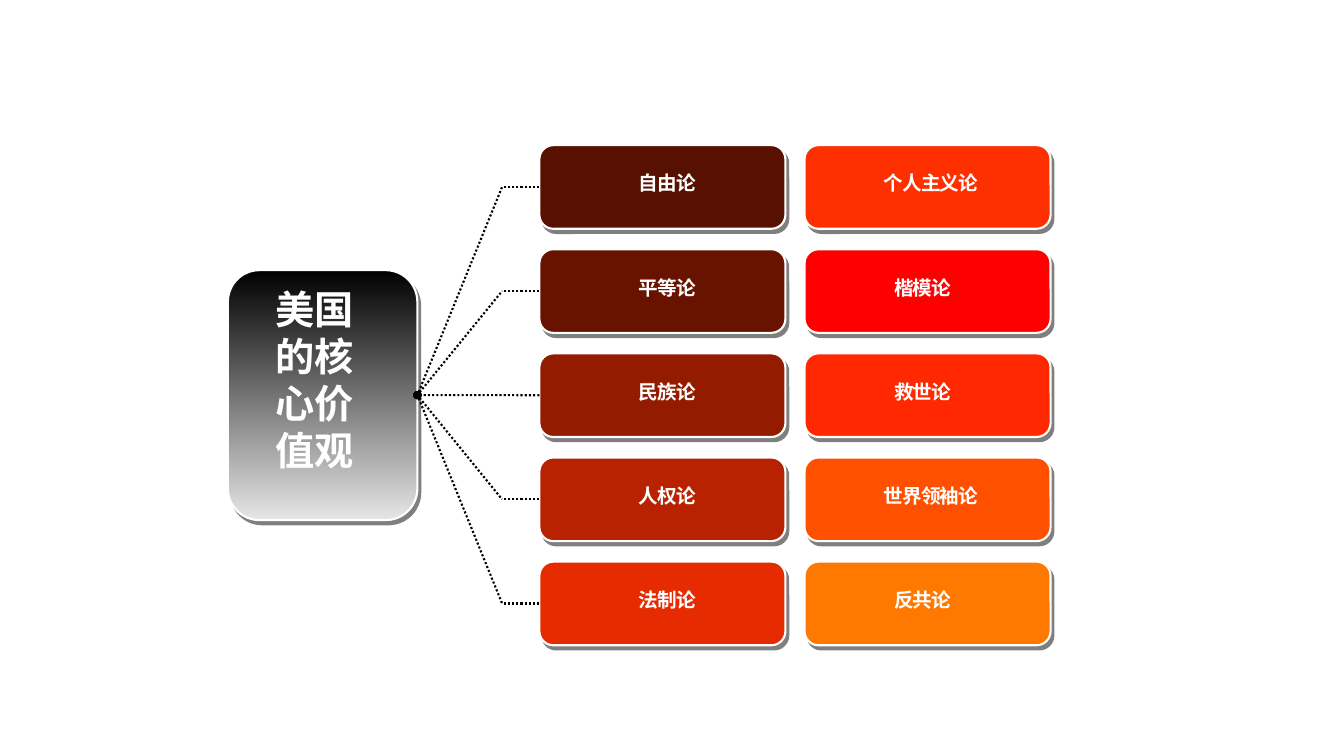
from lxml import etree
from pptx import Presentation
from pptx.dml.color import RGBColor
from pptx.enum import dml, shapes, text
from pptx.oxml import ns
from pptx.util import Inches, Pt

# Content: label, card fill, font
NOTO, MONTSERRAT = "Noto Sans CJK SC", "Montserrat"
CORE = "美国的核心价值观"
LEFT_CARDS = [
    ("自由论", "581000", NOTO),
    ("平等论", "671300", NOTO),
    ("民族论", "931B00", NOTO),
    ("人权论", "B82200", MONTSERRAT),
    ("法制论", "E62B00", MONTSERRAT),
]
RIGHT_CARDS = [
    ("个人主义论", "FF3000", NOTO),
    ("楷模论", "FF0000", MONTSERRAT),
    ("救世论", "FF2800", MONTSERRAT),
    ("世界领袖论", "FF5000", MONTSERRAT),
    ("反共论", "FF7800", MONTSERRAT),
]
COLORS = {"white": "FFFFFF", "black": "000000", "gray": "E7E6E6"}

# Layout in inches
CARD_W, CARD_H = 2.44, 0.83
CARD_TOP, ROW_STEP = 1.44, 1.033
LEFT_X, RIGHT_X = 5.35, 7.98
LABEL_DROP, LABEL_H = 0.21, 0.41
LABEL_BOXES = {  # label left and width, by column and label length
    (LEFT_X, 3): (6.01, 1.22),
    (RIGHT_X, 3): (8.54, 1.22),
    (RIGHT_X, 5): (8.44, 1.59),
}
HUB = (2.26, 2.68, 1.88, 2.48)
HUB_POINT = (4.13, 3.92)
BEND_X = 4.98


def rgb(value):
    return RGBColor.from_string(value)


def add_panel(slide, *box):
    """Rounded panel with a white outline and a hard shadow."""
    panel = slide.shapes.add_shape(
        shapes.MSO_SHAPE.ROUNDED_RECTANGLE, *map(Inches, box))
    panel.adjustments[0] = 0.167
    panel.line.color.rgb = rgb(COLORS["white"])
    panel.line.width = Pt(1.5)
    panel.shadow.inherit = False
    effects = panel._element.spPr.find(ns.qn("a:effectLst"))
    shadow = etree.SubElement(effects, ns.qn("a:outerShdw"), blurRad="0",
                              dist=str(Pt(3.6)), dir=str(56 * 60000),
                              algn="ctr", rotWithShape="0")
    color = etree.SubElement(shadow, ns.qn("a:srgbClr"), val=COLORS["black"])
    etree.SubElement(color, ns.qn("a:alpha"), val="50000")
    return panel


def add_text(slide, words, box, size, font_name, spacing=None):
    frame = slide.shapes.add_textbox(*map(Inches, box)).text_frame
    paragraph = frame.paragraphs[0]
    run = paragraph.add_run()
    run.text = words
    run.font.size = Pt(size)
    run.font.bold = True
    run.font.name = font_name
    run.font.color.rgb = rgb(COLORS["white"])
    properties = run._r.get_or_add_rPr()
    etree.SubElement(properties, ns.qn("a:ea"), typeface=font_name)
    if spacing is not None:
        properties.set("spc", str(round(spacing * 100)))
    return frame


def add_dotted_line(slide, start, end, dot=False):
    line = slide.shapes.add_connector(
        shapes.MSO_CONNECTOR.STRAIGHT, *map(Inches, start + end))
    line.line.color.rgb = rgb(COLORS["black"])
    line.line.width = Pt(1.5)
    line.line.dash_style = dml.MSO_LINE.ROUND_DOT
    if dot:
        etree.SubElement(line.line._get_or_add_ln(), ns.qn("a:headEnd"), type="oval")
    etree.SubElement(line._element.spPr, ns.qn("a:effectLst"))
    return line


def add_column(slide, left, cards):
    panels = []
    for row, (label, fill, font_name) in enumerate(cards):
        top = CARD_TOP + row * ROW_STEP
        panel = add_panel(slide, left, top, CARD_W, CARD_H)
        panel.fill.solid()
        panel.fill.fore_color.rgb = rgb(fill)
        panels.append(panel)
        label_left, label_width = LABEL_BOXES[left, len(label)]
        frame = add_text(slide, label,
                         (label_left, top + LABEL_DROP, label_width, LABEL_H),
                         14, font_name, spacing=-0.7)
        frame.word_wrap = False
        frame.paragraphs[0].alignment = text.PP_ALIGN.CENTER
    return panels


def main():
    presentation = Presentation()
    presentation.slide_width = Inches(13.33)
    presentation.slide_height = Inches(7.5)
    slide = presentation.slides.add_slide(presentation.slide_layouts[6])

    # Hub with vertical gradient
    hub = add_panel(slide, *HUB)
    hub.fill.gradient()
    hub.fill.gradient_angle = 270
    for stop, name in zip(hub.fill.gradient_stops, ("black", "gray")):
        stop.color.rgb = rgb(COLORS[name])

    # Cards
    left_panels = add_column(slide, LEFT_X, LEFT_CARDS)
    add_column(slide, RIGHT_X, RIGHT_CARDS)

    # Dotted branches from the hub to the left cards
    middle = len(left_panels) // 2
    for row, panel in enumerate(left_panels):
        y = CARD_TOP + row * ROW_STEP + CARD_H / 2
        if row == middle:
            branch = add_dotted_line(slide, (LEFT_X, y), HUB_POINT)
            branch.end_connect(hub, 3)
        else:
            branch = add_dotted_line(slide, (LEFT_X, y), (BEND_X, y))
            slant = add_dotted_line(slide, HUB_POINT, (BEND_X, y), dot=True)
            slant.begin_connect(hub, 3)
        branch.begin_connect(panel, 1)

    # Hub text
    frame = add_text(slide, CORE, (2.63, 2.78, 1.18, 1.97), 28, NOTO)
    frame.word_wrap = True
    frame.auto_size = text.MSO_AUTO_SIZE.SHAPE_TO_FIT_TEXT

    presentation.save("out.pptx")


if __name__ == "__main__":
    main()
